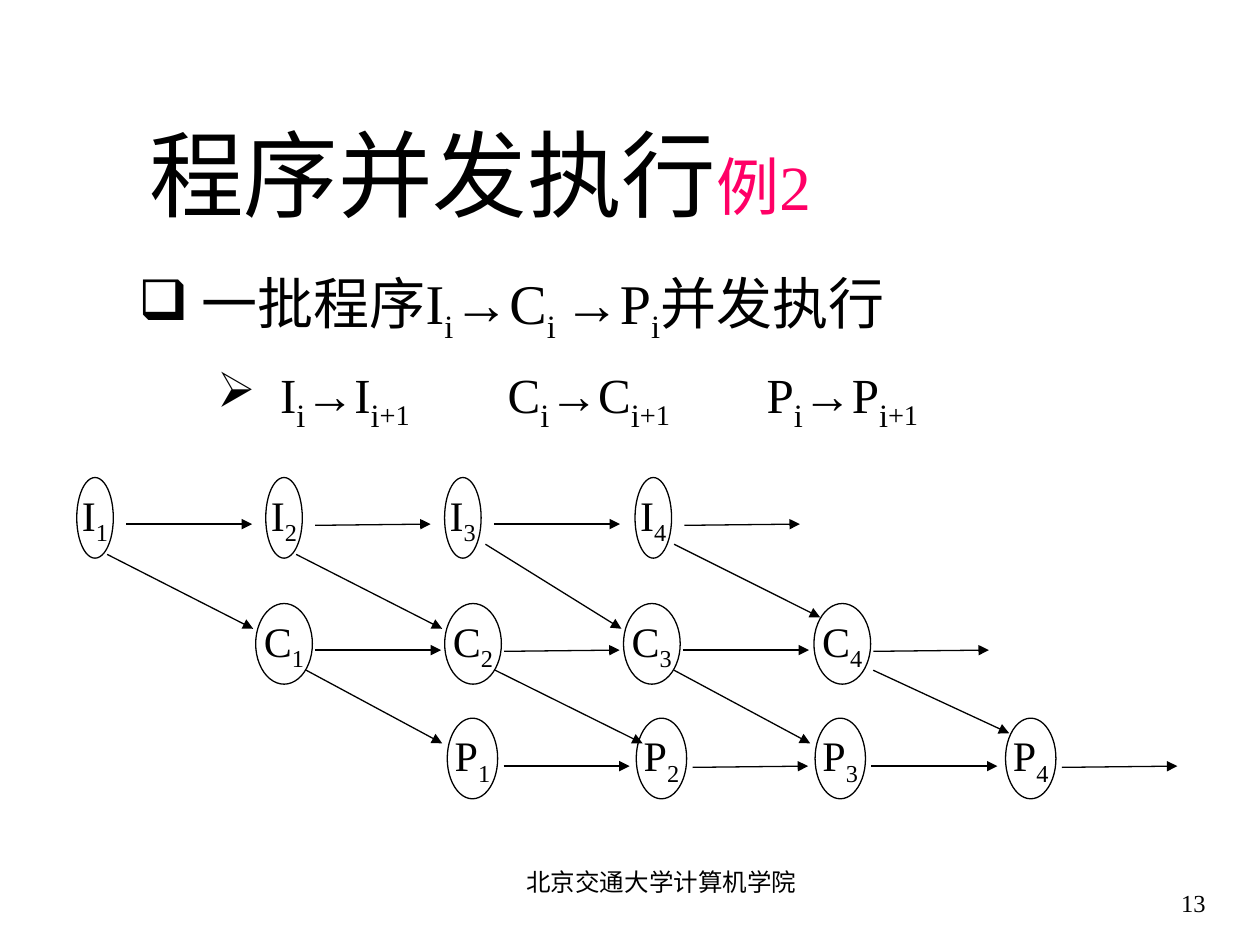
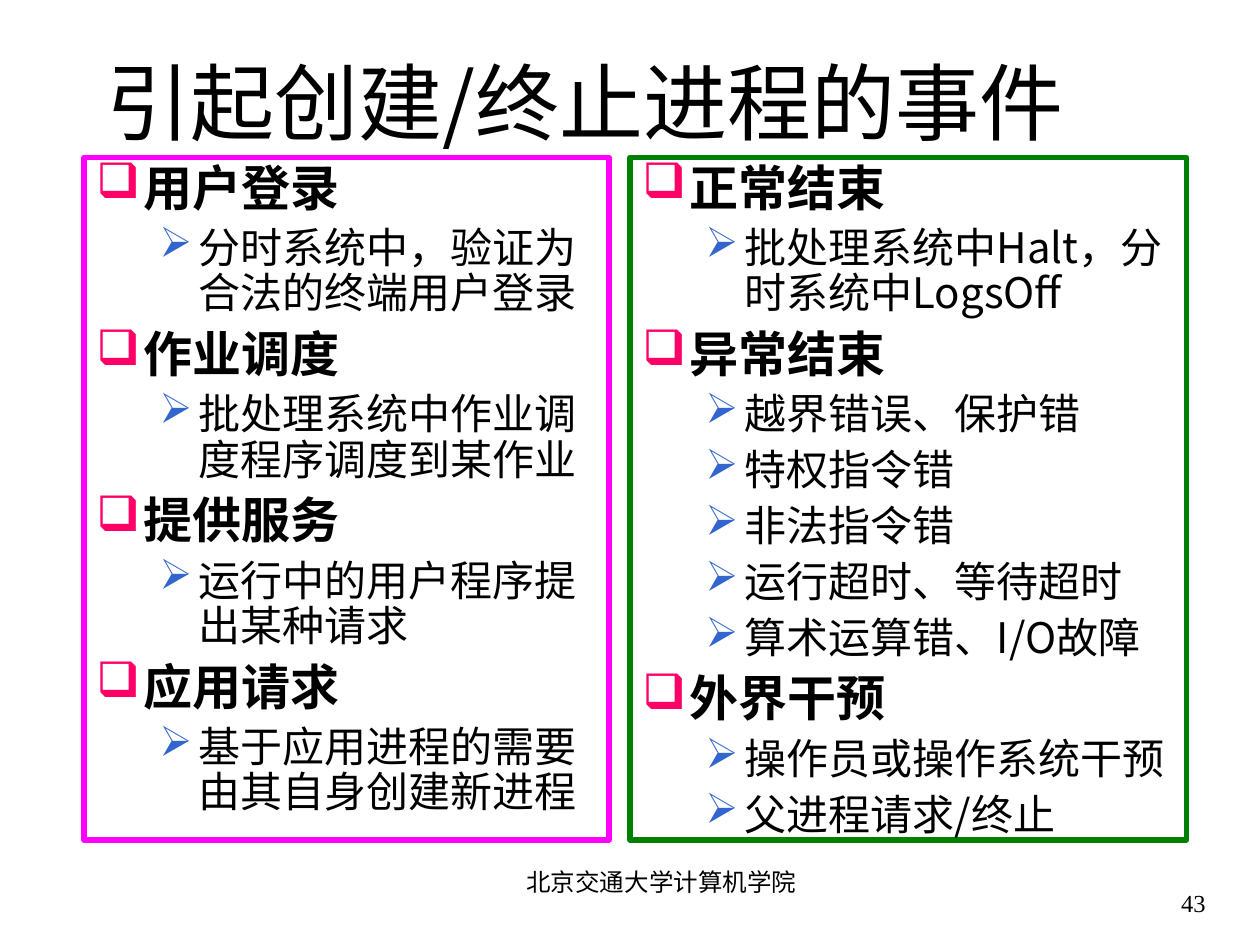
import pptx
import pptx.util
import pptx.dml.color
import pptx.enum.shapes
import pptx.enum.text
import pptx.oxml
import pptx.oxml.ns
from lxml import etree

Pt = pptx.util.Pt
Align = pptx.enum.text.PP_ALIGN
Anchor = pptx.enum.text.MSO_ANCHOR
Shape = pptx.enum.shapes.MSO_SHAPE
BLACK, PINK, BLUE = "000000", "FF0066", "3366CC"
ROMAN, SANS, ARIAL = "Times New Roman", "Noto Sans CJK SC", "Arial"

STEPS = (0, 108, 210.2, 319)
SPANS = (72, 66, 72, 66)
ROWS = [
    ("I", 54.3, 272.9, 20.9, 26.6,
     [(6.9, 43.9, 90.4, 86.4), (6.9, 43.9, 90.4, 86.4),
      (12.9, 38.1, 90.6, 86.4), (11.9, 38.1, 95.4, 79.9)]),
    ("C", 162.3, 344.9, 32.4, 26.6,
     [(12.7, 38.1, 90.4, 79.9), (12.7, 38.1, 96.9, 79.9),
      (12.7, 38.1, 90.5, 79.9), (17.7, 38.1, 95.4, 74.1)]),
    ("P", 270, 410.4, 28.8, 27.4, []),
]

START = [
    ("用户登录", ["分时系统中，验证为合法的终端用户登录"]),
    ("作业调度", ["批处理系统中作业调度程序调度到某作业"]),
    ("提供服务", ["运行中的用户程序提出某种请求"]),
    ("应用请求", ["基于应用进程的需要由其自身创建新进程"]),
]
FINISH = [
    ("正常结束", ["批处理系统中Halt，分时系统中LogsOff"]),
    ("异常结束", ["越界错误、保护错", "特权指令错", "非法指令错",
              "运行超时、等待超时", "算术运算错、I/O故障"]),
    ("外界干预", ["操作员或操作系统干预", "父进程请求/终止"]),
]


def tint(code):
    return pptx.dml.color.RGBColor.from_string(code)


def style(font, size, face=ROMAN, color=BLACK, bold=False):
    font.size, font.name, font.bold = Pt(size), face, bold
    font.color.rgb = tint(color)


def child(node, tag, **attrs):
    return etree.SubElement(node, pptx.oxml.ns.qn(tag), **attrs)


def bullet(par, sign, color, left, hang, tabs=()):
    props = par._p.get_or_add_pPr()
    props.set("marL", str(Pt(left)))
    props.set("indent", str(-Pt(hang)))
    child(child(props, "a:buClr"), "a:srgbClr", val=color)
    child(props, "a:buChar", char=sign)
    if tabs:
        stops = child(props, "a:tabLst")
        for tab in tabs:
            child(stops, "a:tab", pos=str(Pt(tab)), algn="l")


def spell(par, text, size):
    for part in text.split("|"):
        run = par.add_run()
        run.text = part.lstrip("_")
        big = 32 if part.strip() == "_i" else size
        style(run.font, big, ARIAL if part == "→" else ROMAN)
        if part.startswith("_"):
            run.font._element.set("baseline", "-25000")


def label(slide, box, anchor=Anchor.TOP, inset=(7.2, 3.6)):
    frame = slide.shapes.add_textbox(*map(Pt, box)).text_frame
    frame.word_wrap = True
    frame.vertical_anchor = anchor
    frame.margin_left = frame.margin_right = Pt(inset[0])
    frame.margin_top = frame.margin_bottom = Pt(inset[1])
    return frame


def outline(slide, kind, box, color, width):
    shape = slide.shapes.add_shape(kind, *map(Pt, box))
    shape.shadow.inherit = False
    shape.fill.background()
    shape.line.color.rgb = tint(color)
    shape.line.width = Pt(width)
    return shape


def arrow(slide, *ends):
    kind = pptx.enum.shapes.MSO_CONNECTOR.STRAIGHT
    line = slide.shapes.add_connector(kind, *map(Pt, ends))
    line.line.color.rgb = tint(BLACK)
    line.line.width = Pt(0.75)
    child(line.line._get_or_add_ln(), "a:tailEnd", type="triangle")
    child(line._element.spPr, "a:effectLst")


def footer(slide, page):
    notes = [
        (str(page), (624, 492, 72, 36), Align.RIGHT, Anchor.BOTTOM),
        ("北京交通大学计算机学院", (264, 492, 228, 36), Align.CENTER, Anchor.TOP),
    ]
    for text, box, align, anchor in notes:
        par = label(slide, box, anchor).paragraphs[0]
        par.text, par.alignment = text, align
        style(par.font, 14)


def title(slide, box, parts, face, inset=(7.2, 3.6)):
    par = label(slide, box, Anchor.BOTTOM, inset).paragraphs[0]
    for text, size, color in parts:
        run = par.add_run()
        run.text = text
        style(run.font, size, face, color)


def rules(slide, box):
    frame = label(slide, box)
    par = frame.paragraphs[0]
    bullet(par, "❑", BLACK, 36, 36)
    spell(par, "一批程序I|_i|→|C|_i |→|P|_i|并发执行", 32)
    par = frame.add_paragraph()
    par.level, par.space_before = 1, Pt(7)
    bullet(par, "➢", BLACK, 81, 36, (211, 359))
    spell(par, "\t|".join(f"{name}|_i|→|{name}|_i|_+1|" for name in "ICP").rstrip("|"), 28)


def node(slide, box, name, count):
    frame = outline(slide, Shape.OVAL, box, BLACK, 0.75).text_frame
    frame.word_wrap = False
    frame.vertical_anchor = Anchor.MIDDLE
    frame.margin_left = frame.margin_right = 0
    frame.margin_top = frame.margin_bottom = 0
    par = frame.paragraphs[0]
    par.alignment = Align.CENTER
    spell(par, f"{name}|_{count}", 24)


def flow(slide, row):
    name, left, top, width, drop, slants = row
    for pos, (step, span) in enumerate(zip(STEPS, SPANS)):
        mid = left + step
        node(slide, (mid - width / 2, top, width, 46.1), name, pos + 1)
        tail, level = mid + 17.8, top + drop
        arrow(slide, tail, level + pos % 2 * 0.7, tail + span, level)
    for step, (x1, y1, x2, y2) in zip(STEPS, slants):
        mid = left + step
        arrow(slide, mid + x1, top + y1, mid + x2, top + y2)


def panel(slide, box, color, groups):
    frame = outline(slide, Shape.RECTANGLE, box, color, 3).text_frame
    frame.word_wrap = True
    frame.vertical_anchor = Anchor.TOP
    lines = []
    for head, items in groups:
        lines.append((head, 0))
        lines += [(item, 1) for item in items]
    for pos, (text, level) in enumerate(lines):
        par = frame.add_paragraph() if pos else frame.paragraphs[0]
        par.text, par.level, par.alignment = text, level, Align.LEFT
        par.line_spacing = 0.9
        if pos:
            par.space_before = Pt(6 if level else 7)
        if level:
            bullet(par, "➢", BLUE, 58.5, 22.5)
        else:
            bullet(par, "❑", PINK, 27, 27)
        style(par.font, 24 if level else 28, SANS, bold=not level)


def batch(slide):
    footer(slide, 13)
    title(slide, (84, 84, 444, 48),
          [("程序并发执行", 54, BLACK), ("例2", 36, PINK)], ROMAN, (1.4, 0.7))
    rules(slide, (72, 150, 588, 108))
    for row in ROWS:
        flow(slide, row)


def events(slide):
    footer(slide, 43)
    title(slide, (54, 36, 612, 54), [("引起创建/终止进程的事件", 48, BLACK)], SANS)
    panel(slide, (48, 90, 300, 390), "FF00FF", START)
    panel(slide, (360, 90, 318, 390), "008000", FINISH)


def main():
    deck = pptx.Presentation()
    deck.slide_width, deck.slide_height = Pt(720), Pt(540)
    for build in (batch, events):
        build(deck.slides.add_slide(deck.slide_layouts[6]))
    deck.save("out.pptx")


if __name__ == "__main__":
    main()
